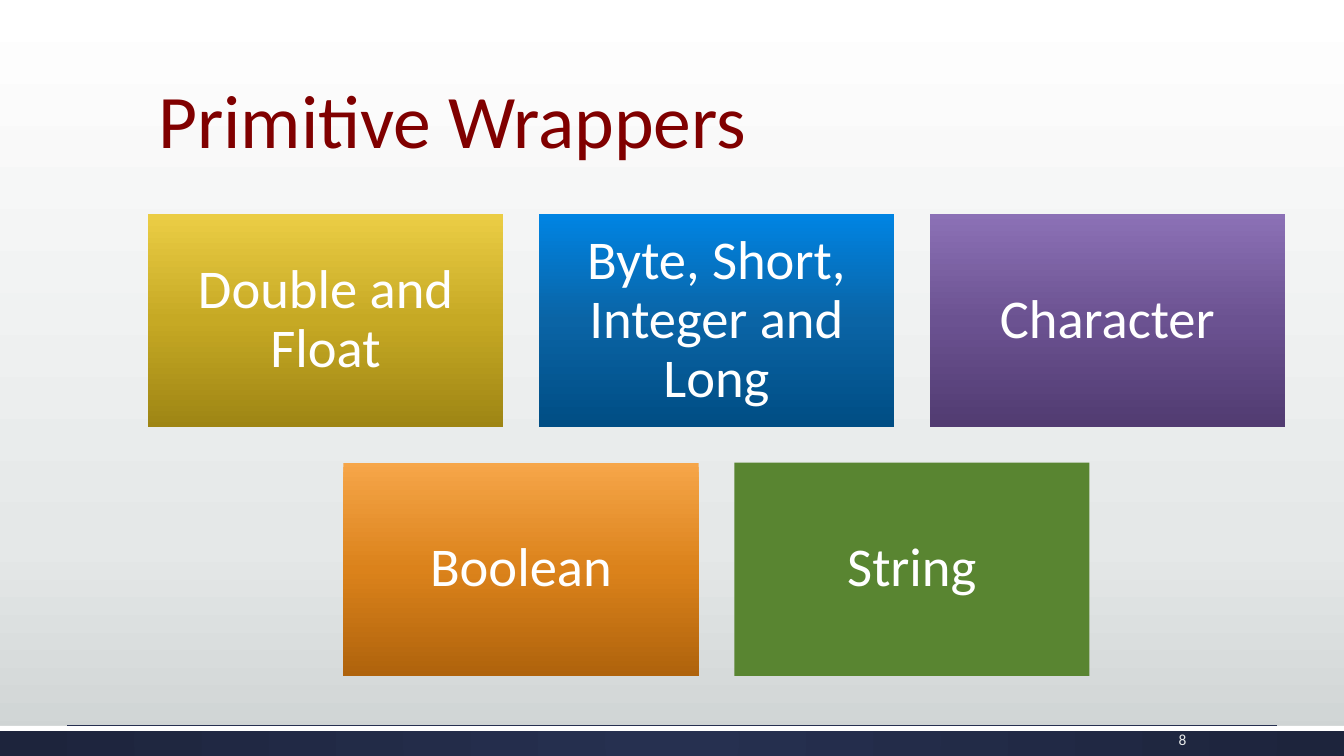
from dataclasses import dataclass

from lxml import etree
from pptx import Presentation
from pptx.dml.color import RGBColor
from pptx.enum import shapes, text
from pptx.oxml import ns
from pptx.util import Cm, Pt

COLOURS = {
    "white": "FFFFFF", "title": "800000", "rule": "263050", "number": "E5E8E8",
}
GRADIENTS = {
    "backdrop": {0: "FFFFFF", 72: "E5E8E8", 100: "CDD2D2"},
    "footer": {0: "263050", 100: "1D243C"},
    "gold": {0: "EBCD45", 50: "C6A924", 100: "9E8514"},
    "blue": {0: "0084E3", 50: "0A64A5", 100: "004D84"},
    "purple": {0: "8C71B6", 50: "6B5291", 100: "513B71"},
    "orange": {0: "F6A649", 50: "DB821B", 100: "AF630C"},
    "green": {0: "598531"},
}
WIDTH, HEIGHT = 33.87, 19.05
LEFT, TOP = 3.73, 5.39
CARD_WIDTH, CARD_HEIGHT, GAP = 8.95, 5.37, 0.9


@dataclass(frozen=True)
class Wrapper:
    """A card naming wrapper classes."""
    label: str
    colour: str


ROWS = [
    [Wrapper("Double and Float", "gold"),
     Wrapper("Byte, Short, Integer and Long", "blue"),
     Wrapper("Character", "purple")],
    [Wrapper("Boolean", "orange"), Wrapper("String", "green")],
]


def paint(fill, owner, stops: dict[int, str], radial: bool = False) -> None:
    """Fill with one solid colour or a gradient through all stops."""
    if len(stops) == 1:
        fill.solid()
        fill.fore_color.rgb = RGBColor.from_string(stops[0])
        return
    fill.gradient()
    fill.gradient_angle = 270
    gradient = next(owner.iter(ns.qn("a:gradFill")))
    stop_list = gradient.find(ns.qn("a:gsLst"))
    for old_stop in list(stop_list):
        stop_list.remove(old_stop)
    for position, colour in stops.items():
        stop = etree.SubElement(stop_list, ns.qn("a:gs"), pos=str(position * 1000))
        etree.SubElement(stop, ns.qn("a:srgbClr"), val=colour)
    if radial:
        gradient.remove(gradient.find(ns.qn("a:lin")))
        circle = etree.SubElement(gradient, ns.qn("a:path"), path="circle")
        etree.SubElement(circle, ns.qn("a:fillToRect"),
                         dict.fromkeys("ltrb", "50000"))


def write(frame, words: str, size: float, colour: str, align, anchor) -> None:
    """Set and format the single paragraph of a text frame."""
    frame.text = words
    frame.word_wrap = True
    frame.auto_size = text.MSO_AUTO_SIZE.NONE
    frame.vertical_anchor = anchor
    paragraph = frame.paragraphs[0]
    paragraph.alignment = align
    paragraph.line_spacing = 0.9
    font = paragraph.runs[0].font
    font.name, font.size = "Calibri", Pt(size)
    font.color.rgb = RGBColor.from_string(COLOURS[colour])


def add_block(slide, left: float, top: float, width: float, height: float,
              stops: dict[int, str], radial: bool = False):
    """Add a borderless filled rectangle."""
    block = slide.shapes.add_shape(
        shapes.MSO_SHAPE.RECTANGLE, Cm(left), Cm(top), Cm(width), Cm(height))
    block.shadow.inherit = False
    block.line.fill.background()
    paint(block.fill, block._element, stops, radial)
    return block


def add_card(slide, wrapper: Wrapper, left: float, top: float) -> None:
    """Add a card with its label."""
    card = add_block(slide, left, top, CARD_WIDTH, CARD_HEIGHT,
                     GRADIENTS[wrapper.colour])
    frame = card.text_frame
    frame.margin_left = frame.margin_right = Cm(0.41)
    frame.margin_top = frame.margin_bottom = Cm(0.41)
    write(frame, wrapper.label, 39, "white", text.PP_ALIGN.CENTER,
          text.MSO_ANCHOR.MIDDLE)


def add_footer(slide) -> None:
    """Add the footer band, its white edge and the thin rule."""
    add_block(slide, 0, 18.29, WIDTH, 0.76, GRADIENTS["footer"], radial=True)
    add_block(slide, 0, 18.29, WIDTH, 0.13, {0: COLOURS["white"]})
    rule = slide.shapes.add_connector(
        shapes.MSO_CONNECTOR.STRAIGHT, Cm(1.69), Cm(18.27), Cm(32.18), Cm(18.27))
    rule.line.width = Pt(0.75)
    rule.line.color.rgb = RGBColor.from_string(COLOURS["rule"])
    etree.SubElement(rule._element.spPr, ns.qn("a:effectLst"))


def main() -> None:
    """Build the slide."""
    deck = Presentation()
    deck.slide_width, deck.slide_height = Cm(WIDTH), Cm(HEIGHT)
    slide = deck.slides.add_slide(deck.slide_layouts[5])
    paint(slide.background.fill, slide._element, GRADIENTS["backdrop"])
    add_footer(slide)

    title = slide.shapes.title
    title.left, title.top = Cm(LEFT), Cm(1.3)
    title.width, title.height = Cm(28.65), Cm(2.97)
    write(title.text_frame, "Primitive Wrappers", 54, "title",
          text.PP_ALIGN.LEFT, text.MSO_ANCHOR.BOTTOM)

    pitch = CARD_WIDTH + GAP
    for row, wrappers in enumerate(ROWS):
        indent = (len(ROWS[0]) - len(wrappers)) * pitch / 2
        for column, wrapper in enumerate(wrappers):
            add_card(slide, wrapper, LEFT + indent + column * pitch,
                     TOP + row * (CARD_HEIGHT + GAP))

    number = slide.shapes.add_textbox(Cm(28.37), Cm(18.34), Cm(1.78), Cm(0.66))
    write(number.text_frame, "8", 11, "number", text.PP_ALIGN.RIGHT,
          text.MSO_ANCHOR.MIDDLE)
    deck.save("out.pptx")


if __name__ == "__main__":
    main()
